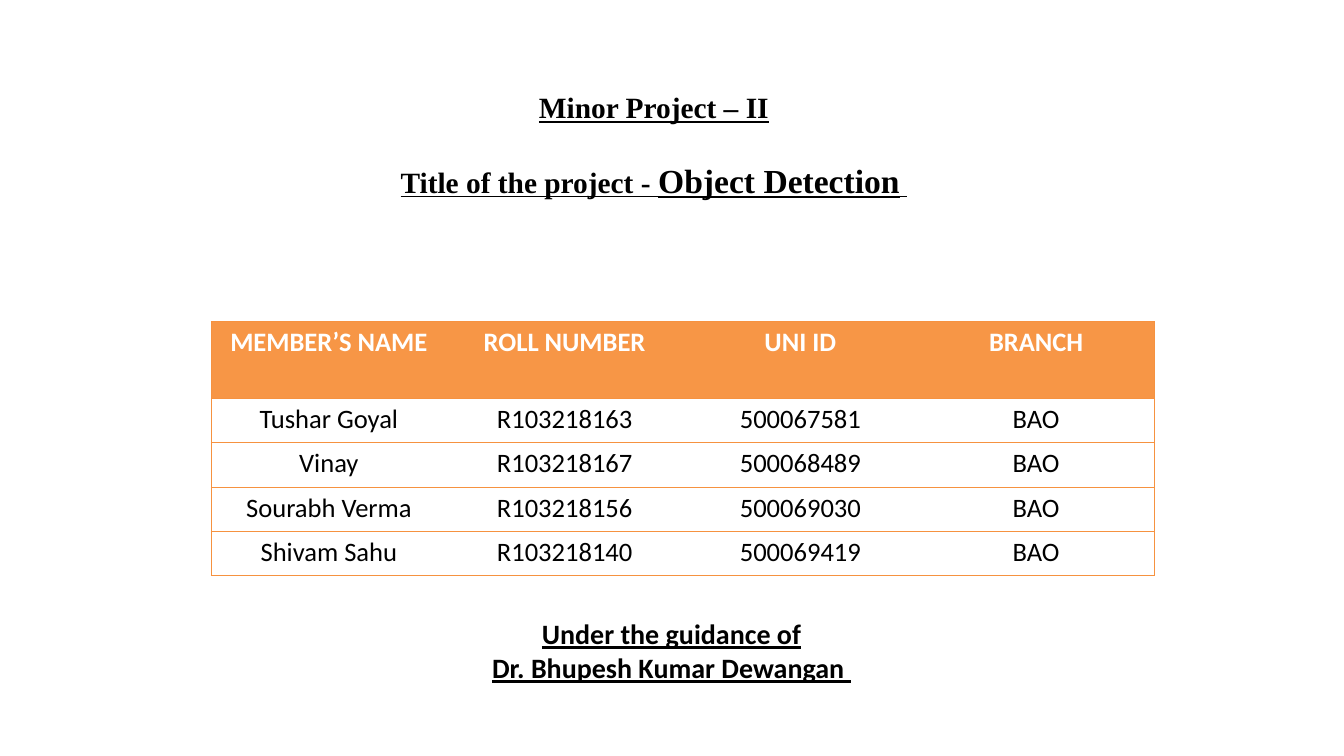
from dataclasses import dataclass
from typing import Optional

from lxml import etree
from pptx import Presentation
from pptx.dml.color import RGBColor
from pptx.enum.text import MSO_ANCHOR, PP_ALIGN
from pptx.oxml.ns import qn
from pptx.util import Inches, Length, Pt

CENTER = PP_ALIGN.CENTER
TOP, MIDDLE = MSO_ANCHOR.TOP, MSO_ANCHOR.MIDDLE
SLIDE_WIDTH, SLIDE_HEIGHT = Inches(13.34), Inches(7.5)


@dataclass(frozen=True)
class Theme:
    black: str = "000000"
    white: str = "FFFFFF"
    header_fill: str = "F79646"
    border: str = "F69240"
    border_points: float = 0.34
    inset: Length = Inches(0.05)
    heading_font: str = "Times New Roman"
    body_font: str = "Calibri"
    heading_size: int = 21
    project_size: int = 24
    table_size: int = 19
    guidance_size: int = 20
    heading_gap: float = 25


THEME = Theme()


@dataclass(frozen=True)
class Area:
    """Position and size in percent of the slide."""
    left: float
    top: float
    width: float
    height: float

    def box(self) -> tuple[Length, Length, Length, Length]:
        return (share(self.left, SLIDE_WIDTH), share(self.top, SLIDE_HEIGHT),
                share(self.width, SLIDE_WIDTH), share(self.height, SLIDE_HEIGHT))


@dataclass(frozen=True)
class TextRun:
    text: str
    size: int
    font: str = THEME.body_font
    color: str = THEME.black
    bold: bool = True
    underline: bool = True


@dataclass(frozen=True)
class TextBlock:
    area: Area
    lines: list[list[TextRun]]
    anchor: MSO_ANCHOR
    gap: float = 0


def share(percent: float, whole: Length) -> Length:
    return Length(round(whole * percent / 100))


def add_runs(paragraph, runs: list[TextRun]) -> None:
    paragraph.alignment = CENTER
    for item in runs:
        run = paragraph.add_run()
        run.text = item.text
        run.font.name = item.font
        run.font.size = Pt(item.size)
        run.font.bold = item.bold
        run.font.underline = item.underline
        run.font.color.rgb = RGBColor.from_string(item.color)


def set_insets(target) -> None:
    target.margin_left = target.margin_right = THEME.inset
    target.margin_top = target.margin_bottom = THEME.inset


def add_text_block(slide, block: TextBlock) -> None:
    frame = slide.shapes.add_textbox(*block.area.box()).text_frame
    frame.word_wrap = True
    frame.vertical_anchor = block.anchor
    set_insets(frame)
    for index, runs in enumerate(block.lines):
        paragraph = frame.add_paragraph() if index else frame.paragraphs[0]
        if index:
            paragraph.space_before = Pt(block.gap)
        add_runs(paragraph, runs)


def add_border(cell, side: str, color: Optional[str]) -> None:
    properties = cell._tc.get_or_add_tcPr()
    line = etree.SubElement(properties, qn(f"a:ln{side}"), w=str(Pt(THEME.border_points)))
    if color is None:
        etree.SubElement(line, qn("a:noFill"))
    else:
        fill = etree.SubElement(line, qn("a:solidFill"))
        etree.SubElement(fill, qn("a:srgbClr"), val=color)


def add_member_table(slide, area: Area, rows: list[list[str]],
                     header_height: float, row_height: float) -> None:
    column_count = len(rows[0])
    table = slide.shapes.add_table(len(rows), column_count, *area.box()).table
    table.first_row = table.horz_banding = False
    for column in table.columns:
        column.width = share(area.width / column_count, SLIDE_WIDTH)
    for row_index, texts in enumerate(rows):
        is_header = row_index == 0
        height = header_height if is_header else row_height
        table.rows[row_index].height = share(height, SLIDE_HEIGHT)
        for column_index, text in enumerate(texts):
            cell = table.cell(row_index, column_index)
            set_insets(cell)
            cell.vertical_anchor = TOP
            # Lines run around the table and between rows, not between columns
            borders = {
                "L": THEME.border if column_index == 0 else None,
                "R": THEME.border if column_index == column_count - 1 else None,
                "T": THEME.border,
                "B": THEME.border,
            }
            for side, color in borders.items():
                add_border(cell, side, color)
            if is_header:
                cell.fill.solid()
                cell.fill.fore_color.rgb = RGBColor.from_string(THEME.header_fill)
            else:
                cell.fill.background()
            add_runs(cell.text_frame.paragraphs[0], [TextRun(
                text, THEME.table_size, bold=is_header, underline=False,
                color=THEME.white if is_header else THEME.black)])


def heading(text: str, size: int = THEME.heading_size) -> TextRun:
    return TextRun(text, size, THEME.heading_font)


TITLE = TextBlock(
    Area(-1.35, 8.5, 100, 21.33),
    [[heading("Minor Project – II")],
     [heading("Title of the project - "),
      heading("Object Detection", THEME.project_size),
      heading(" ")]],
    MIDDLE, THEME.heading_gap)

GUIDANCE = TextBlock(
    Area(25.34, 80.93, 49.25, 10.27),
    [[TextRun("Under the guidance of", THEME.guidance_size)],
     [TextRun("Dr. Bhupesh Kumar Dewangan ", THEME.guidance_size)]],
    TOP)

MEMBERS = [
    ["MEMBER’S NAME", "ROLL NUMBER", "UNI ID", "BRANCH"],
    ["Tushar Goyal", "R103218163", "500067581", "BAO"],
    ["Vinay", "R103218167", "500068489", "BAO"],
    ["Sourabh Verma", "R103218156", "500069030", "BAO"],
    ["Shivam Sahu", "R103218140", "500069419", "BAO"],
]


def main() -> None:
    presentation = Presentation()
    presentation.slide_width, presentation.slide_height = SLIDE_WIDTH, SLIDE_HEIGHT
    slide = presentation.slides.add_slide(presentation.slide_layouts[6])

    # Title, team table and supervisor
    add_text_block(slide, TITLE)
    add_member_table(slide, Area(15.7, 42.5, 70.16, 33.64), MEMBERS,
                     header_height=10.2, row_height=5.86)
    add_text_block(slide, GUIDANCE)

    presentation.save("out.pptx")


if __name__ == "__main__":
    main()
